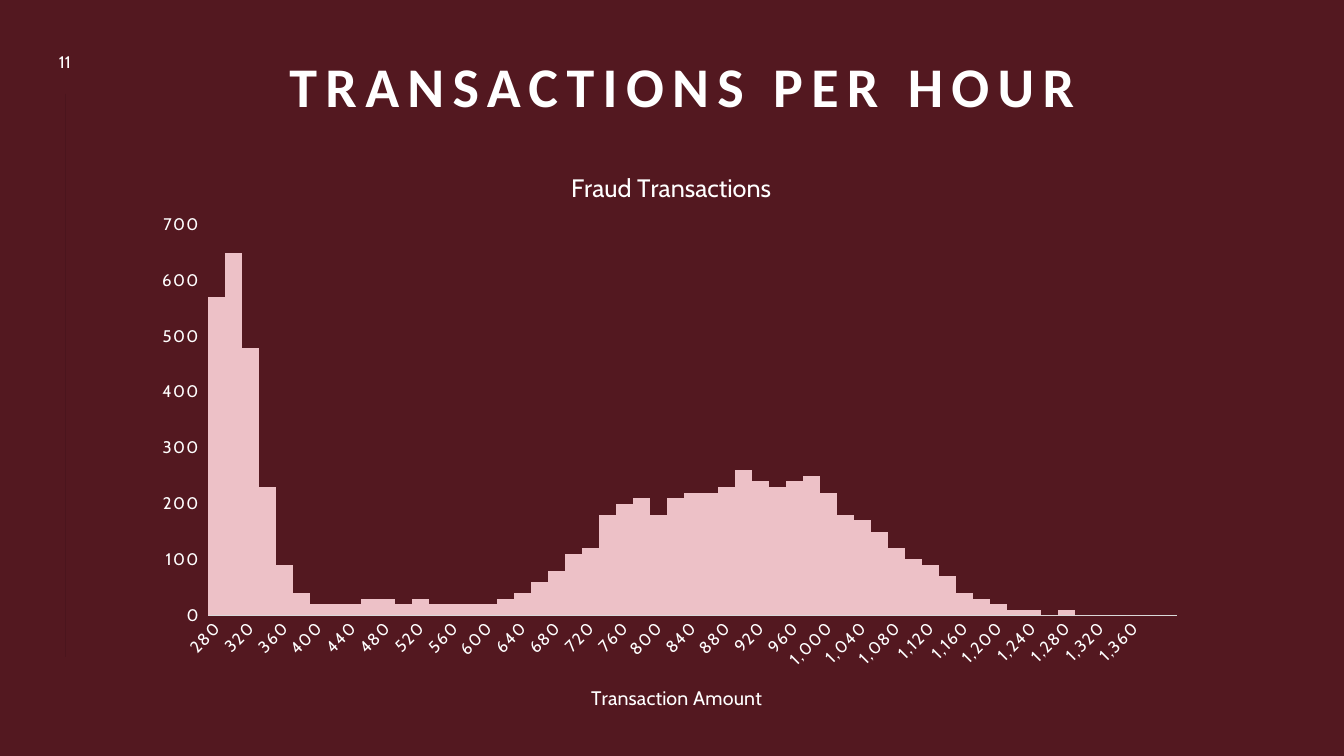
from lxml import etree
from pptx import Presentation
from pptx.chart.data import CategoryChartData
from pptx.dml.color import RGBColor
from pptx.enum.chart import XL_CHART_TYPE as ChartType, XL_TICK_MARK as TickMark
from pptx.enum.shapes import MSO_CONNECTOR as Connector
from pptx.enum.text import MSO_ANCHOR as Anchor, PP_ALIGN as Align
from pptx.oxml import parse_xml
from pptx.oxml.ns import nsdecls, qn
from pptx.util import Cm, Pt

WINE = RGBColor(0x53, 0x18, 0x20)
DARK_WINE = RGBColor(0x4B, 0x15, 0x1D)
PINK = RGBColor(0xED, 0xC1, 0xC7)
WHITE = RGBColor(0xFF, 0xFF, 0xFF)
GREY = RGBColor(0xD9, 0xD9, 0xD9)

COUNTS = [
    570, 650, 480, 230, 90, 40, 20, 20, 20, 30, 30, 20, 30, 20, 20, 20, 20, 30, 40,
    60, 80, 110, 120, 180, 200, 210, 180, 210, 220, 220, 230, 260, 240, 230, 240, 250,
    220, 180, 170, 150, 120, 100, 90, 70, 40, 30, 20, 10, 10, 0, 10, 0, 0, None, 0,
    None, None,
]


def add_text(frame, text, font_name, size):
    """Fill the first paragraph of a text frame with one white run."""
    para = frame.paragraphs[0]
    para.alignment = Align.CENTER
    span = para.add_run()
    span.text = text
    span.font.name = font_name
    span.font.size = Pt(size)
    span.font.bold = False
    span.font.color.rgb = WHITE
    return para, span


def set_layout(element, index, **fractions):
    """Place a chart part by fractions of the chart area."""
    for old in element.findall(qn("c:layout")):
        element.remove(old)
    layout = parse_xml(f"<c:layout {nsdecls('c')}><c:manualLayout/></c:layout>")
    manual = layout[0]
    if "w" in fractions:
        etree.SubElement(manual, qn("c:layoutTarget")).set("val", "inner")
    for mode in ("xMode", "yMode"):
        etree.SubElement(manual, qn(f"c:{mode}")).set("val", "edge")
    for name, value in fractions.items():
        etree.SubElement(manual, qn(f"c:{name}")).set("val", str(value))
    element.insert(index, layout)


deck = Presentation()
deck.slide_width, deck.slide_height = Cm(33.87), Cm(19.05)
page = deck.slides.add_slide(deck.slide_layouts[6])
page.background.fill.solid()
page.background.fill.fore_color.rgb = WINE

# Side rule
rule = page.shapes.add_connector(Connector.STRAIGHT, Cm(1.65), Cm(2.36), Cm(1.65), Cm(16.56))
rule.line.color.rgb = DARK_WINE
rule.line.width = Pt(0.5)
etree.SubElement(rule._element.spPr, qn("a:effectLst"))

# Heading
heading = page.shapes.add_textbox(Cm(2.08), Cm(0.18), Cm(30.23), Cm(2.97))
heading.text_frame.word_wrap = True
heading.text_frame.vertical_anchor = Anchor.BOTTOM
para, span = add_text(heading.text_frame, "TRANSACTIONS PER HOUR", "Calibri", 40)
para.line_spacing = 0.9
span.font.bold = True
span._r.get_or_add_rPr().set("spc", "600")

# Page number
number = page.shapes.add_textbox(Cm(0.91), Cm(1.14), Cm(1.45), Cm(0.86))
number.text_frame.word_wrap = True
number.text_frame.vertical_anchor = Anchor.MIDDLE
add_text(number.text_frame, "11", "Cabin", 12)

# Histogram: bins of 20 from 280 to 1,360, then two unnamed bins
data = CategoryChartData(number_format="#,##0")
data.categories = [f"{amount:,}" for amount in range(280, 1361, 20)] + ["", ""]
data.add_series("Series 1", COUNTS)
chart = page.shapes.add_chart(
    ChartType.COLUMN_CLUSTERED, Cm(3.66), Cm(3.43), Cm(26.54), Cm(14.91), data
).chart
chart.has_legend = False
chart.font.name = "Cabin"
chart.font.size = Pt(10)

plot = chart.plots[0]
plot.gap_width = 0
plot.vary_by_categories = False
bars = plot.series[0]
bars.format.fill.solid()
bars.format.fill.fore_color.rgb = PINK
bars.format.line.fill.background()

amounts, counts = chart.category_axis, chart.value_axis
for axis in (amounts, counts):
    axis.has_major_gridlines = False
    axis.minor_tick_mark = TickMark.NONE
    labels = axis.tick_labels.font
    labels.name = "Cabin"
    labels.size = Pt(12)
    labels.color.rgb = WHITE
amounts.major_tick_mark = TickMark.NONE
amounts.format.line.color.rgb = GREY
amounts.format.line.width = Pt(0.75)
counts.major_tick_mark = TickMark.OUTSIDE
counts.format.line.fill.background()
counts.minimum_scale, counts.maximum_scale, counts.major_unit = 0, 700, 100
counts.tick_labels.number_format = "#,##0"
counts.tick_labels.number_format_is_linked = False

chart.has_title = True
add_text(chart.chart_title.text_frame, "Fraud Transactions", "Cabin", 18)
amounts.has_title = True
add_text(amounts.axis_title.text_frame, "Transaction Amount", "Cabin", 14)

# Slanted labels on every second bin, letter spacing and fixed positions
space = chart._chartSpace
for label_font in space.xpath(".//c:catAx/c:txPr//a:defRPr | .//c:valAx/c:txPr//a:defRPr"):
    label_font.set("spc", "100")
space.xpath(".//c:catAx/c:txPr/a:bodyPr")[0].set("rot", "-2700000")
skip = parse_xml(f'<c:tickLblSkip {nsdecls("c")} val="2"/>')
space.xpath(".//c:catAx/c:noMultiLvlLbl")[0].addprevious(skip)
set_layout(space.xpath("c:chart/c:title")[0], 1, x=0.4, y=0.05)
set_layout(space.xpath(".//c:catAx/c:title")[0], 1, x=0.42, y=0.92)
set_layout(space.xpath(".//c:plotArea")[0], 0, x=0.06, y=0.15, w=0.92, h=0.66)

deck.save("out.pptx")
